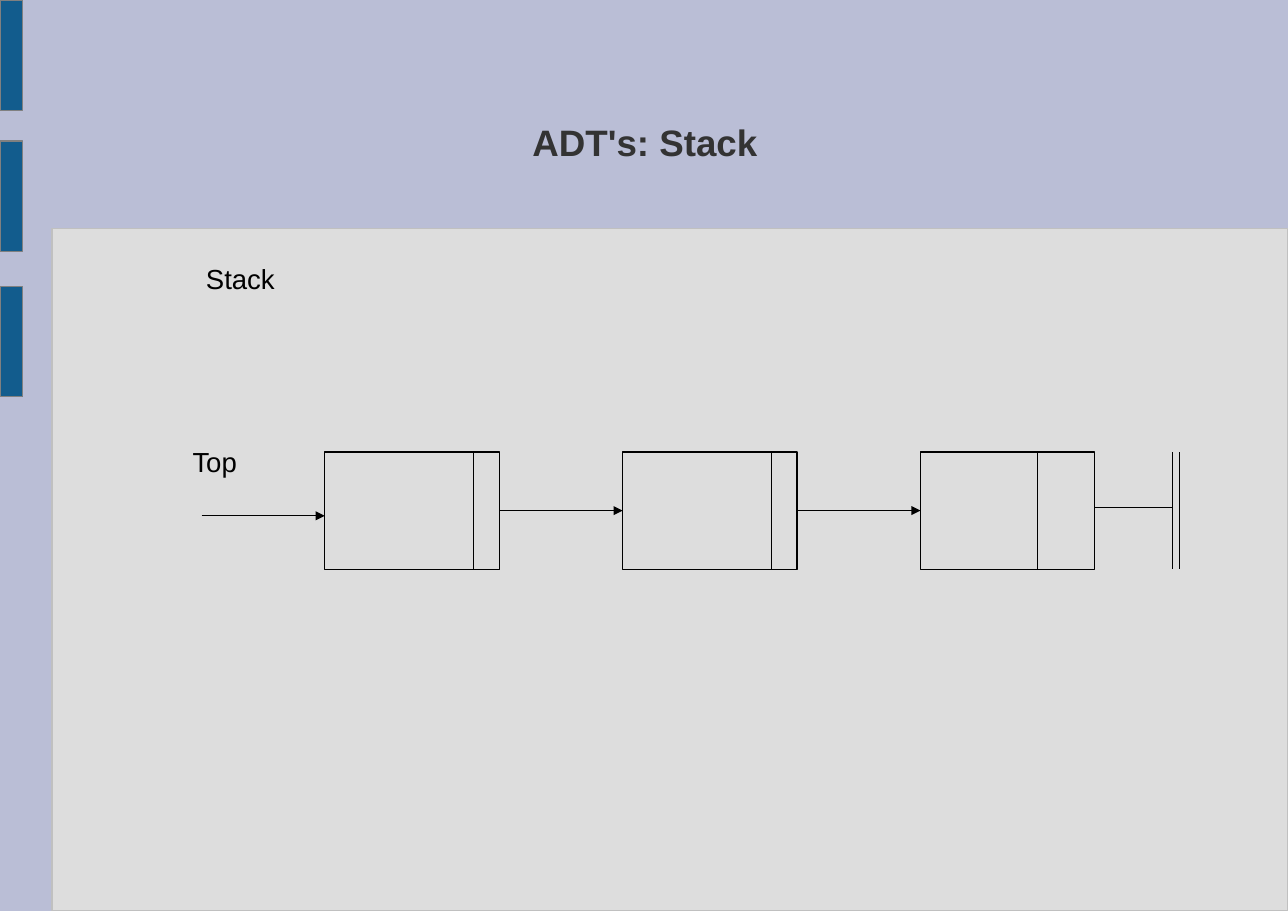
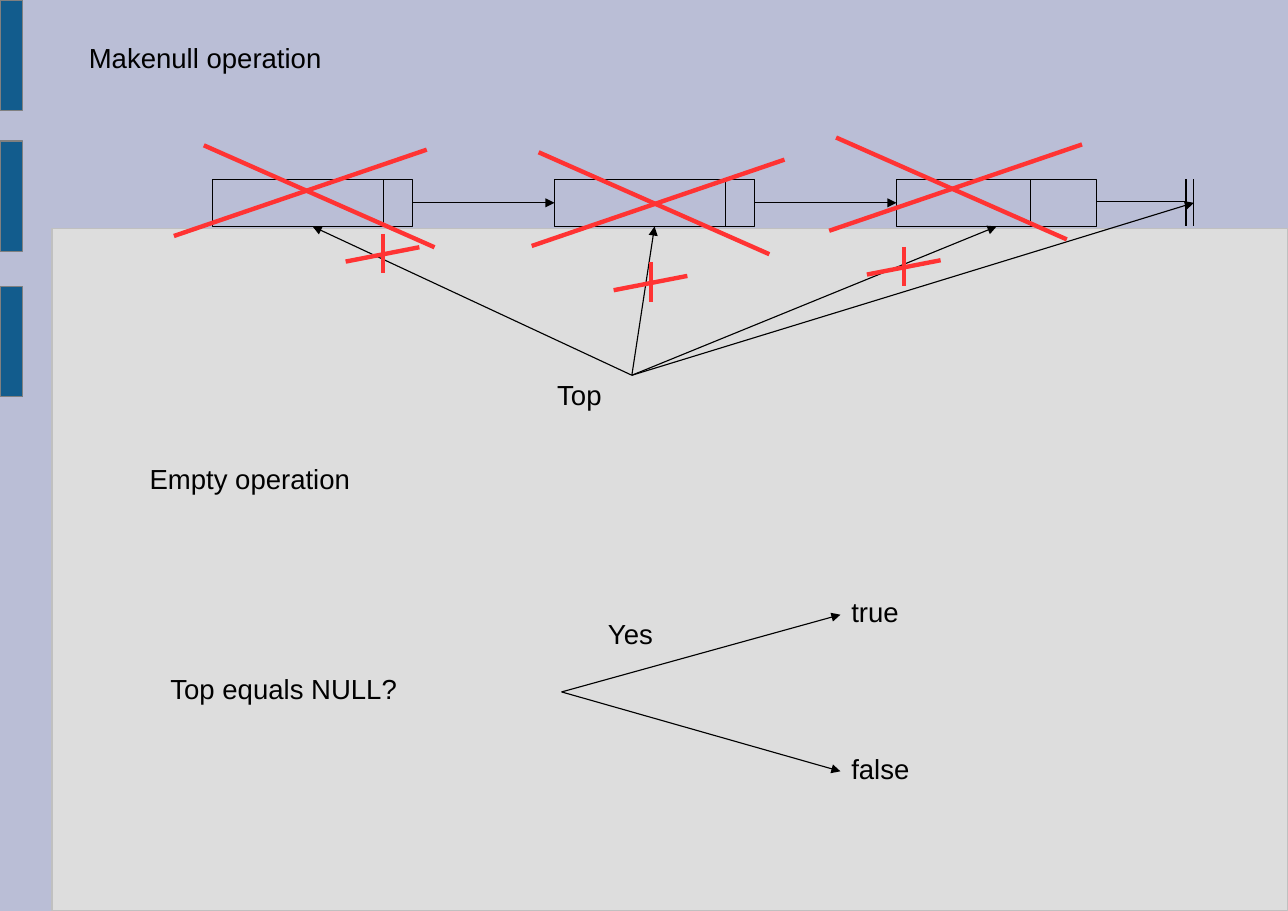
from dataclasses import dataclass

from lxml import etree
from pptx import Presentation
from pptx.dml.color import RGBColor
from pptx.enum import shapes, text
from pptx.oxml.ns import qn
from pptx.util import Cm, Pt


@dataclass(frozen=True)
class Theme:
    font: str = "Arial"
    background: str = "BABED6"
    panel: str = "DDDDDD"
    panel_line: str = "C0C0C0"
    band: str = "125C8D"
    band_line: str = "808080"
    title: str = "333333"
    ink: str = "000000"
    strike: str = "FF3333"
    title_size: float = 24
    body_size: float = 18
    thin: float = 0.75
    thick: float = 2.86


@dataclass(frozen=True)
class Box:
    """A region of the slide, in centimetres."""
    left: float
    top: float
    width: float
    height: float

    def inner(self, x, y, width, height):
        return Box(self.left + x, self.top + y, width, height)

    def lengths(self):
        return Cm(self.left), Cm(self.top), Cm(self.width), Cm(self.height)


THEME = Theme()
PAGE = Box(0, 0, 29.7, 21)
TOP, LEFT, BOTTOM, RIGHT = range(4)  # connection sites of a rectangle


# Basic parts
def add_rectangle(slide, box, line, fill=None):
    shape = slide.shapes.add_shape(shapes.MSO_SHAPE.RECTANGLE, *box.lengths())
    shape.shadow.inherit = False
    if fill:
        shape.fill.solid()
        shape.fill.fore_color.rgb = RGBColor.from_string(fill)
    else:
        shape.fill.background()
    shape.line.color.rgb = RGBColor.from_string(line)
    shape.line.width = Pt(THEME.thin)
    return shape


def add_label(slide, box, words, size=THEME.body_size, color=THEME.ink):
    label = slide.shapes.add_textbox(*box.lengths())
    label.text_frame.word_wrap = True
    paragraph = label.text_frame.paragraphs[0]
    paragraph.line_spacing = 0.93
    run = paragraph.add_run()
    run.text = words
    run.font.name = THEME.font
    run.font.size = Pt(size)
    run.font.color.rgb = RGBColor.from_string(color)
    return label


def add_line(slide, start, end, arrow=False, color=THEME.ink, width=THEME.thin):
    """Each end is an (x, y) point or a (shape, site) pair to join."""
    joins = [not isinstance(place[0], (int, float)) for place in (start, end)]
    points = [(0, 0) if joined else place
              for joined, place in zip(joins, (start, end))]
    connector = slide.shapes.add_connector(
        shapes.MSO_CONNECTOR.STRAIGHT,
        *(Cm(value) for point in points for value in point))
    if joins[0]:
        connector.begin_connect(*start)
    if joins[1]:
        connector.end_connect(*end)
    connector.line.color.rgb = RGBColor.from_string(color)
    connector.line.width = Pt(width)
    if arrow:
        etree.SubElement(connector.line._get_or_add_ln(), qn("a:tailEnd"),
                         type="triangle")
    etree.SubElement(connector._element.spPr, qn("a:effectLst"))
    return connector


def add_strike(slide, start, end):
    add_line(slide, start, end, color=THEME.strike, width=THEME.thick)


# Shared look
def add_base_slide(presentation):
    slide = presentation.slides.add_slide(presentation.slide_layouts[6])
    slide.background.fill.solid()
    slide.background.fill.fore_color.rgb = RGBColor.from_string(THEME.background)
    add_rectangle(slide, PAGE.inner(1.2, 5.26, 28.5, 15.74),
                  THEME.panel_line, THEME.panel)
    for band_top in (0, 3.25, 6.61):
        add_rectangle(slide, PAGE.inner(0, band_top, 0.53, 2.54),
                      THEME.band_line, THEME.band)
    return slide


def add_title(slide, box, words):
    title = add_label(slide, box, words, THEME.title_size, THEME.title)
    frame = title.text_frame
    frame.margin_left = frame.margin_right = frame.margin_bottom = 0
    frame.margin_top = Cm(0.05)
    frame.vertical_anchor = text.MSO_ANCHOR.MIDDLE
    frame.paragraphs[0].alignment = text.PP_ALIGN.CENTER
    frame.paragraphs[0].runs[0].font.bold = True


# Linked list: three nodes ending in a null mark
def add_linked_list(slide, box):
    node_width, pitch = 0.204 * box.width, 0.3485 * box.width
    bottom = box.top + box.height
    nodes = []
    for index, data_share in enumerate((0.855, 0.855, 0.67)):
        node_box = box.inner(index * pitch, 0, node_width, box.height)
        nodes.append(add_rectangle(slide, node_box, THEME.ink))
        divider = node_box.left + data_share * node_width
        add_line(slide, (divider, box.top), (divider, bottom))
    for node, following in zip(nodes, nodes[1:]):
        add_line(slide, (node, RIGHT), (following, LEFT), arrow=True)

    # The null link runs slightly above the middle
    bars = [box.left + share * box.width for share in (0.992, 1)]
    link_y = box.top + 0.47 * box.height
    add_line(slide, (box.left + 2 * pitch + node_width, link_y),
             (bars[0], link_y))
    for bar in bars:
        add_line(slide, (bar, box.top), (bar, bottom))
    return nodes


# Red marks
def add_node_strike(slide, rising, falling):
    """Each argument is the top left corner of that stroke."""
    (x, y), (fall_x, fall_y) = rising, falling
    add_strike(slide, (x, y + 1.99), (x + 5.83, y))
    add_strike(slide, (fall_x, fall_y), (fall_x + 5.32, fall_y + 2.35))


def add_pointer_strike(slide, x, y):
    add_strike(slide, (x, y), (x, y + 0.91))
    add_strike(slide, (x - 0.86, y + 0.64), (x + 0.84, y + 0.31))


# Makenull: the top pointer moves along the list to null
def add_makenull(slide, box):
    add_label(slide, box.inner(0, 0, 14.22, 0.89), "Makenull operation")
    list_box = box.inner(3.1, 3.24, 22.63, 1.09)
    nodes = add_linked_list(slide, list_box)
    top = add_label(slide, box.inner(10.8, 7.76, 3.94, 1.52), "Top")
    null_end = (list_box.left + list_box.width,
                list_box.top + list_box.height / 2)
    for target in [(node, BOTTOM) for node in nodes] + [null_end]:
        add_line(slide, (top, TOP), target, arrow=True)

    strokes = [((2.21, 2.56), (2.9, 2.46)),
               ((10.46, 2.79), (10.62, 2.62)),
               ((17.32, 2.44), (17.48, 2.28))]
    for corners in strokes:
        add_node_strike(slide, *((box.left + x, box.top + y)
                                 for x, y in corners))
    for x, y in ((7.03, 4.5), (13.21, 5.16), (19.05, 4.8)):
        add_pointer_strike(slide, box.left + x, box.top + y)


# Empty: a question with two outcomes
def add_empty_check(slide, box):
    add_label(slide, box.inner(0, 0, 8.79, 1.8), "Empty operation")
    question = add_label(slide, box.inner(0.48, 4.85, 9.27, 1.02),
                         "Top equals NULL?")
    for words, y in (("true", 3.07), ("false", 6.68)):
        outcome = add_label(slide, box.inner(16.18, y, 6.22, 1.02), words)
        add_line(slide, (question, RIGHT), (outcome, LEFT), arrow=True)
    add_label(slide, box.inner(10.57, 3.58, 2.87, 1.02), "Yes")


# Slides
def add_stack_slide(presentation):
    slide = add_base_slide(presentation)
    add_title(slide, PAGE.inner(2.18, 1.55, 25.38, 3.5), "ADT's: Stack")
    add_label(slide, PAGE.inner(4.5, 5.99, 5.51, 2.16), "Stack")
    list_box = PAGE.inner(7.49, 10.42, 19.71, 2.7)
    add_linked_list(slide, list_box)
    add_label(slide, PAGE.inner(4.19, 10.21, 2.51, 3.78), "Top")
    pointer_y = list_box.top + 1.47
    add_line(slide, (4.65, pointer_y), (list_box.left, pointer_y), arrow=True)


def add_operations_slide(presentation):
    slide = add_base_slide(presentation)
    add_makenull(slide, PAGE.inner(1.8, 0.89, 25.73, 9.28))
    add_empty_check(slide, PAGE.inner(3.2, 10.59, 22.4, 7.7))


def main():
    presentation = Presentation()
    presentation.slide_width = Cm(PAGE.width)
    presentation.slide_height = Cm(PAGE.height)
    add_stack_slide(presentation)
    add_operations_slide(presentation)
    presentation.save("out.pptx")


if __name__ == "__main__":
    main()
